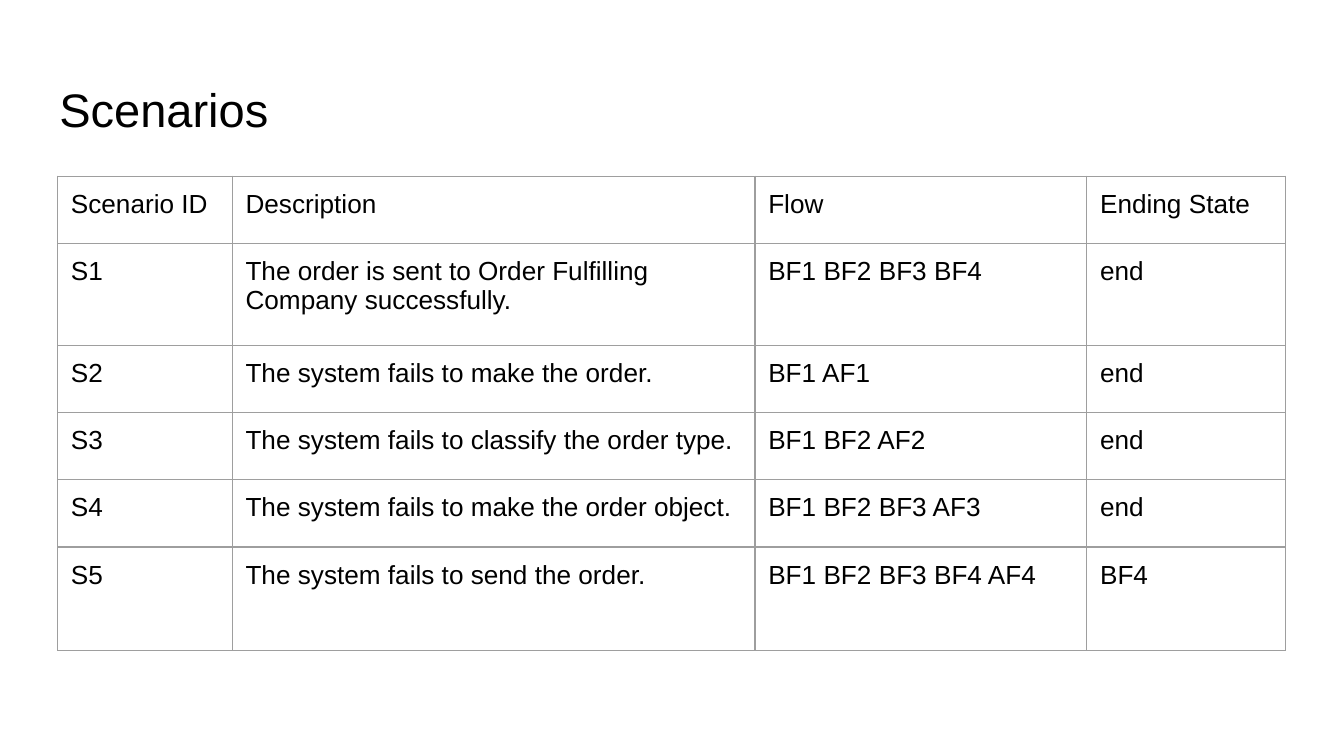
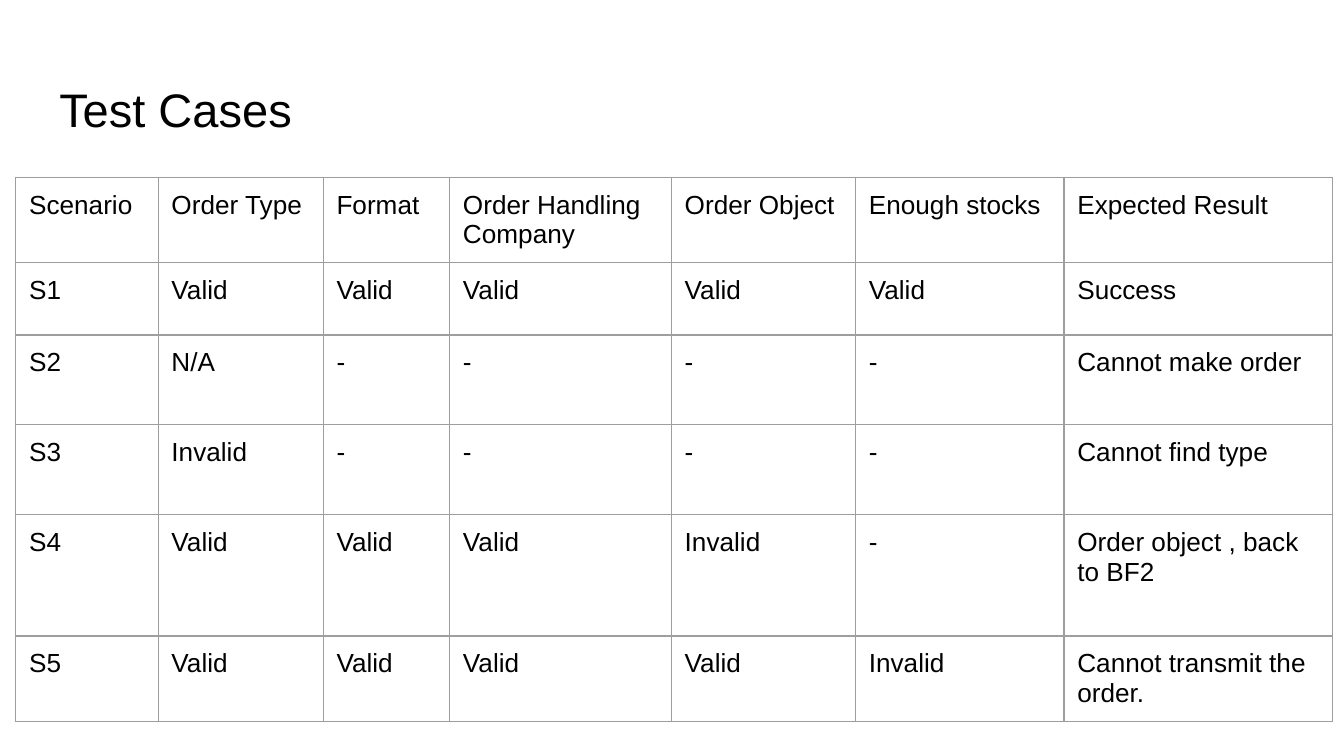
from dataclasses import dataclass

from lxml import etree
from pptx import Presentation
from pptx import util as u
from pptx.dml.color import RGBColor
from pptx.enum import text
from pptx.oxml import ns
from pptx.slide import Slide
from pptx.table import _Cell
from pptx.text.text import TextFrame

# Shared style
BLACK = RGBColor(0x00, 0x00, 0x00)
GRID_GREY = RGBColor(0x9E, 0x9E, 0x9E)
FONT = "Arial"
TITLE_SIZE = u.Pt(25.2)
CELL_SIZE = u.Pt(14)
GRID_WIDTH = u.Pt(0.75)
INSET = u.Cm(0.25)


@dataclass(frozen=True)
class TableSlide:
    """A titled table; all lengths are in centimetres."""
    title: str
    left: float
    top: float
    columns: tuple[float, ...]
    rows: tuple[float, ...]
    cells: tuple[tuple[str, ...], ...]


SCENARIOS = TableSlide(
    title="Scenarios",
    left=1.09,
    top=3.33,
    columns=(3.3, 9.88, 6.27, 3.76),
    rows=(1.27, 1.93, 1.27, 1.27, 1.27, 1.96),
    cells=(
        ("Scenario ID", "Description", "Flow", "Ending State"),
        ("S1", "The order is sent to Order Fulfilling Company successfully.",
         "BF1 BF2 BF3 BF4", "end"),
        ("S2", "The system fails to make the order.", "BF1 AF1", "end"),
        ("S3", "The system fails to classify the order type.", "BF1 BF2 AF2", "end"),
        ("S4", "The system fails to make the order object.", "BF1 BF2 BF3 AF3", "end"),
        ("S5", "The system fails to send the order.", "BF1 BF2 BF3 BF4 AF4", "BF4"),
    ),
)

TEST_CASES = TableSlide(
    title="Test Cases",
    left=0.3,
    top=3.35,
    columns=(2.69, 3.12, 2.39, 4.19, 3.48, 3.94, 5.08),
    rows=(1.5, 1.37, 1.7, 1.7, 2.29, 1.37),
    cells=(
        ("Scenario", "Order Type", "Format", "Order Handling Company",
         "Order Object", "Enough stocks", "Expected Result"),
        ("S1", "Valid", "Valid", "Valid", "Valid", "Valid", "Success"),
        ("S2", "N/A", "-", "-", "-", "-", "Cannot make order"),
        ("S3", "Invalid", "-", "-", "-", "-", "Cannot find type"),
        ("S4", "Valid", "Valid", "Valid", "Invalid", "-", "Order object , back to BF2"),
        ("S5", "Valid", "Valid", "Valid", "Valid", "Invalid", "Cannot transmit the order."),
    ),
)


def write(frame: TextFrame, content: str, size: u.Length) -> None:
    """Put one left-aligned paragraph into a text frame."""
    frame.text = content
    paragraph = frame.paragraphs[0]
    paragraph.alignment = text.PP_ALIGN.LEFT
    for run in paragraph.runs:
        run.font.name = FONT
        run.font.size = size
        run.font.bold = False
        run.font.color.rgb = BLACK


def set_insets(target: TextFrame | _Cell) -> None:
    target.margin_left = target.margin_right = INSET
    target.margin_top = target.margin_bottom = INSET


def add_borders(cell: _Cell) -> None:
    """Draw the grid line on all four sides of a cell."""
    properties = cell._tc.get_or_add_tcPr()
    for index, side in enumerate(("a:lnL", "a:lnR", "a:lnT", "a:lnB")):
        line = etree.Element(ns.qn(side), w=str(int(GRID_WIDTH)))
        fill = etree.SubElement(line, ns.qn("a:solidFill"))
        etree.SubElement(fill, ns.qn("a:srgbClr"), val=str(GRID_GREY))
        properties.insert(index, line)


def add_title(slide: Slide, content: str) -> None:
    title = slide.shapes.title
    title.left, title.top = u.Cm(0.87), u.Cm(1.24)
    title.width, title.height = u.Cm(23.67), u.Cm(1.6)
    frame = title.text_frame
    set_insets(frame)
    frame.word_wrap = True
    frame.auto_size = text.MSO_AUTO_SIZE.NONE
    frame.vertical_anchor = text.MSO_ANCHOR.BOTTOM
    write(frame, content, TITLE_SIZE)


def add_grid(slide: Slide, data: TableSlide) -> None:
    table = slide.shapes.add_table(
        len(data.rows), len(data.columns), u.Cm(data.left), u.Cm(data.top),
        u.Cm(sum(data.columns)), u.Cm(sum(data.rows))).table
    table.first_row = table.horz_banding = False
    for column, width in zip(table.columns, data.columns):
        column.width = u.Cm(width)
    for row, height, contents in zip(table.rows, data.rows, data.cells):
        row.height = u.Cm(height)
        for cell, content in zip(row.cells, contents):
            set_insets(cell)
            cell.vertical_anchor = text.MSO_ANCHOR.TOP
            cell.fill.background()
            add_borders(cell)
            write(cell.text_frame, content, CELL_SIZE)


# Build the slides
presentation = Presentation()
presentation.slide_width, presentation.slide_height = u.Cm(25.4), u.Cm(14.29)
title_only = presentation.slide_layouts.get_by_name("Title Only")

for table_slide in (SCENARIOS, TEST_CASES):
    new_slide = presentation.slides.add_slide(title_only)
    add_title(new_slide, table_slide.title)
    add_grid(new_slide, table_slide)

presentation.save("out.pptx")
